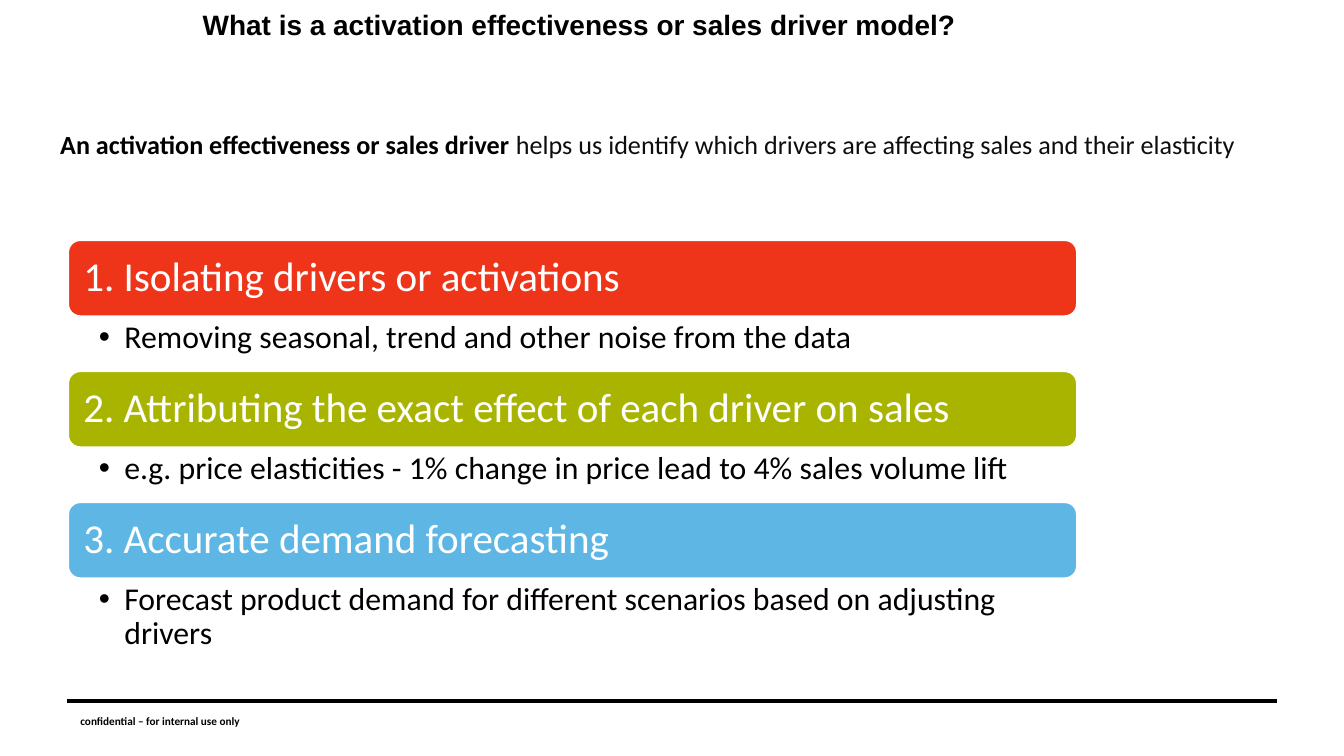
from pptx import Presentation, util as u
from pptx.dml.color import RGBColor
from pptx.enum import shapes, text
from pptx.oxml.ns import qn
from lxml import etree

PX = 4572  # EMU per px, 200 px to the inch
COLORS = {"black": "000000", "dark": "0D0D0D", "white": "FFFFFF",
          "red": "EE351A", "green": "A8B400", "blue": "5EB6E4"}
STEPS = [
    ("1. Isolating drivers or activations", "red", 79,
     "Removing seasonal, trend and other noise from the data"),
    ("2. Attributing the exact effect of each driver on sales", "green", 79,
     "e.g. price elasticities - 1% change in price lead to 4% sales volume lift"),
    ("3. Accurate demand forecasting", "blue", 118,
     "Forecast product demand for different scenarios based on adjusting drivers"),
]


def px(n):
    return u.Emu(n * PX)


def rgb(name):
    return RGBColor.from_string(COLORS[name])


def add_text(s, box, runs, size, font="Calibri", insets=(20, 10, 20, 10),
             anchor=text.MSO_ANCHOR.TOP, spacing=None, bullet=False):
    """Add one paragraph; runs are (words, colour, bold)."""
    tf = s.shapes.add_textbox(*map(px, box)).text_frame
    left, top, right, bottom = map(px, insets)
    for name, value in {"word_wrap": True, "vertical_anchor": anchor,
                        "margin_left": left, "margin_top": top,
                        "margin_right": right, "margin_bottom": bottom}.items():
        setattr(tf, name, value)
    p = tf.paragraphs[0]
    p.line_spacing = spacing
    if bullet:
        p.level = 1
        pPr = p._p.get_or_add_pPr()
        pPr.set("marL", str(px(38)))
        pPr.set("indent", str(px(-38)))
        etree.SubElement(pPr, qn("a:buFont")).set("typeface", "Arial")
        etree.SubElement(pPr, qn("a:buChar")).set("char", "•")
    for words, color, bold in runs:
        r = p.add_run()
        r.text = words
        for name, value in {"name": font, "size": u.Pt(size), "bold": bold}.items():
            setattr(r.font, name, value)
        r.font.color.rgb = rgb(color)


def add_header(s, x, y):
    # Title and introduction
    add_text(s, (x + 212, y, 1714, 120),
             [("What is a activation effectiveness or sales driver model?", "black", True)],
             15, "Arial")
    add_text(s, (x, y + 180, 1800, 68),
             [("An activation effectiveness or sales driver ", "black", True),
              ("helps us identify which drivers are affecting sales and their elasticity",
               "dark", False)], 14)


def add_steps(s, x, y, w):
    bar_h, pad = 116, 6
    for label, color, detail_h, detail in STEPS:
        # Coloured bar
        sp = s.shapes.add_shape(shapes.MSO_SHAPE.ROUNDED_RECTANGLE,
                                *map(px, (x, y, w, bar_h)))
        sp.shadow.inherit = False
        sp.fill.solid()
        sp.fill.fore_color.rgb = rgb(color)
        sp.line.color.rgb = rgb("white")
        sp.line.width = u.Pt(2)
        # Label and detail
        add_text(s, (x + pad, y + pad, w - 2 * pad, bar_h - 2 * pad),
                 [(label, "white", False)], 22, insets=(18, 18, 18, 18),
                 anchor=text.MSO_ANCHOR.MIDDLE, spacing=0.9)
        add_text(s, (x, y + bar_h, w, detail_h), [(detail, "black", False)], 17,
                 insets=(47, 6, 34, 6), spacing=0.9, bullet=True)
        y += bar_h + detail_h


def add_footer(s, x, y, w):
    # Rule and confidentiality note
    rule = s.shapes.add_connector(shapes.MSO_CONNECTOR.STRAIGHT,
                                  *map(px, (x, y, x + w, y)))
    rule.line.color.rgb = rgb("black")
    rule.line.width = u.Pt(2)
    etree.SubElement(rule._element.spPr, qn("a:effectLst"))
    add_text(s, (x, y, 634, 60),
             [("confidential – for internal use only", "black", True)], 6,
             anchor=text.MSO_ANCHOR.MIDDLE)


def main():
    prs = Presentation()
    prs.slide_width, prs.slide_height = px(2000), px(1125)
    s = prs.slides.add_slide(prs.slide_layouts[6])
    add_footer(s, 100, 1043, 1800)
    add_header(s, 70, 1)
    add_steps(s, 100, 356, 1504)
    prs.save("out.pptx")


if __name__ == "__main__":
    main()
